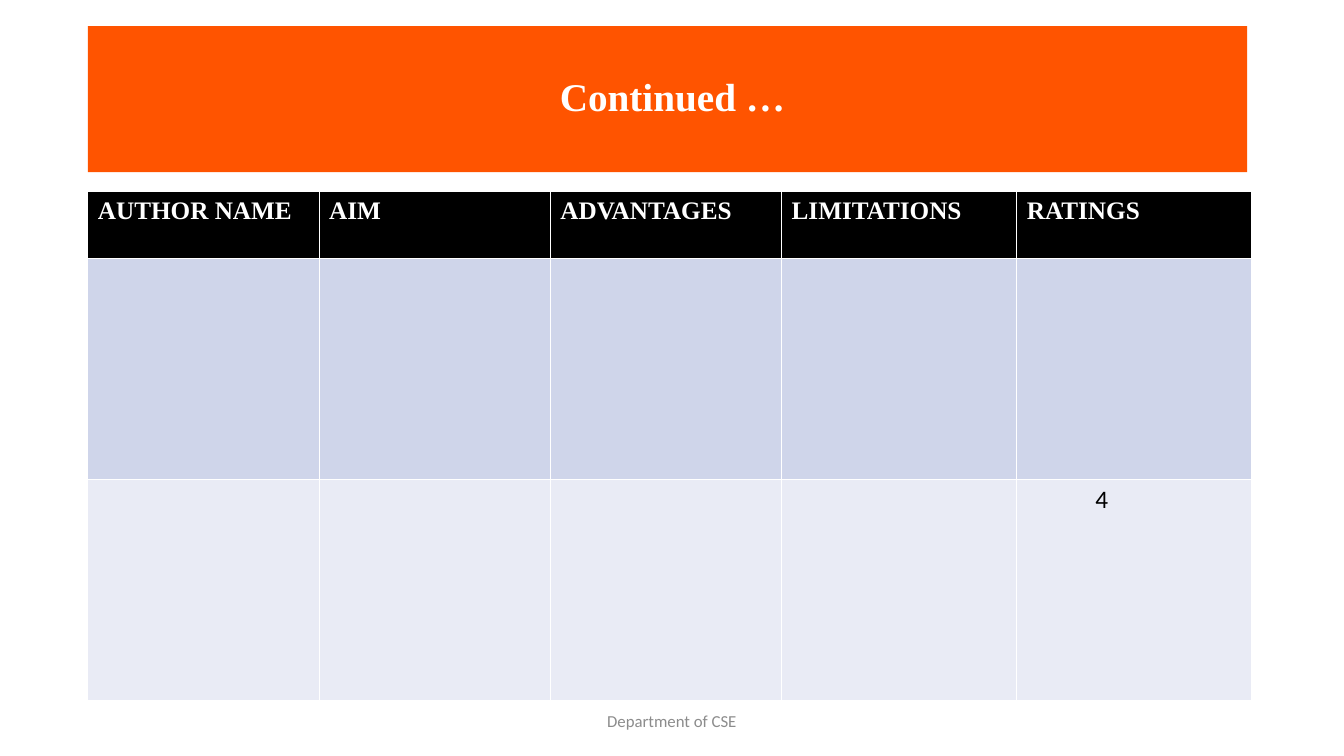
"""Build a literature survey slide with a title banner, a table and a footer."""
from pptx import Presentation
from pptx.dml.color import RGBColor
from pptx.enum import text
from pptx.util import Pt

COLORS = {
    "banner": "FF5400", "white": "FFFFFF", "black": "000000",
    "band_dark": "CFD5EA", "band_light": "E9EBF5", "footer": "8C8C8C",
}
HEADERS = ["AUTHOR NAME", "AIM", "ADVANTAGES", "LIMITATIONS", "RATINGS"]
COLUMN_WIDTHS = [165.2, 165.2, 165.2, 168, 168]
ROW_HEIGHTS = [47.5, 158, 158]
ROW_FILLS = ["black", "band_dark", "band_light"]


def paint(sp, color):
    sp.fill.solid()
    sp.fill.fore_color.rgb = RGBColor.from_string(COLORS[color])


def write(tf, words, font, size, color, bold=False, align=None):
    p = tf.paragraphs[0]
    p.text = words
    p.alignment = align
    f = p.runs[0].font
    f.name, f.size, f.bold = font, Pt(size), bold
    f.color.rgb = RGBColor.from_string(COLORS[color])
    return p


def add_title(s):
    sp = s.shapes.title
    sp.left, sp.top, sp.width, sp.height = Pt(62.8), Pt(18.6), Pt(828), Pt(104.4)
    paint(sp, "banner")
    tf = sp.text_frame
    tf.vertical_anchor = text.MSO_ANCHOR.MIDDLE
    p = write(tf, " Continued …", "Times New Roman", 28, "white", True,
              text.PP_ALIGN.CENTER)
    p.line_spacing = 0.9


def add_survey_table(s):
    table = s.shapes.add_table(
        len(ROW_HEIGHTS), len(HEADERS), Pt(62.8), Pt(137),
        Pt(sum(COLUMN_WIDTHS)), Pt(sum(ROW_HEIGHTS))).table
    for column, width in zip(table.columns, COLUMN_WIDTHS):
        column.width = Pt(width)
    for row, height, color in zip(table.rows, ROW_HEIGHTS, ROW_FILLS):
        row.height = Pt(height)
        for cell in row.cells:
            paint(cell, color)
    for i, header in enumerate(HEADERS):
        write(table.cell(0, i).text_frame, header, "Times New Roman", 18,
              "white", True)
    rating = write(table.cell(2, 4).text_frame, "4", "Calibri", 18, "black")
    rating._p.get_or_add_pPr().set("marL", str(Pt(49)))


def add_footer(s):
    sp = s.shapes.add_textbox(Pt(318), Pt(500.5), Pt(324), Pt(28.8))
    tf = sp.text_frame
    tf.word_wrap = True
    tf.vertical_anchor = text.MSO_ANCHOR.MIDDLE
    write(tf, "Department of CSE", "Calibri", 12, "footer",
          align=text.PP_ALIGN.CENTER)


def main():
    prs = Presentation()
    prs.slide_width, prs.slide_height = Pt(960), Pt(540)
    s = prs.slides.add_slide(prs.slide_layouts[5])
    add_title(s)
    add_survey_table(s)
    add_footer(s)
    prs.save("out.pptx")


if __name__ == "__main__":
    main()
